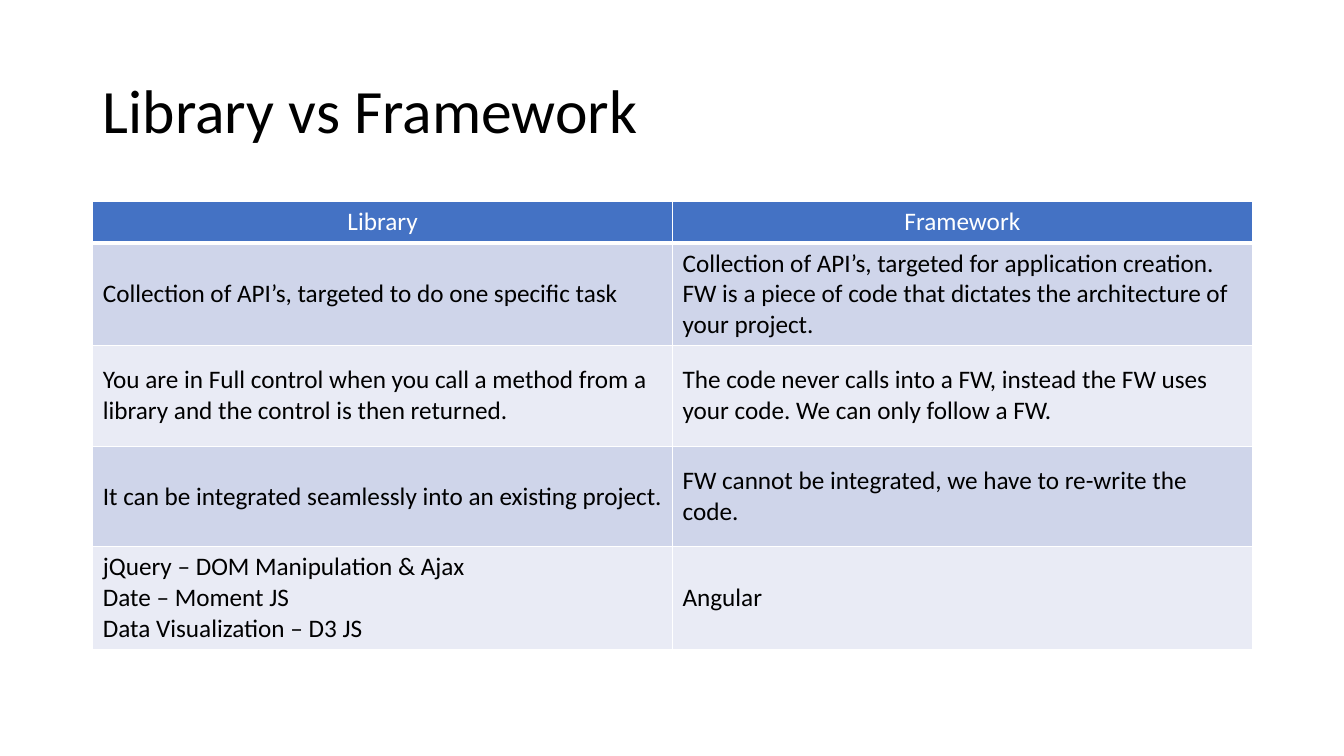
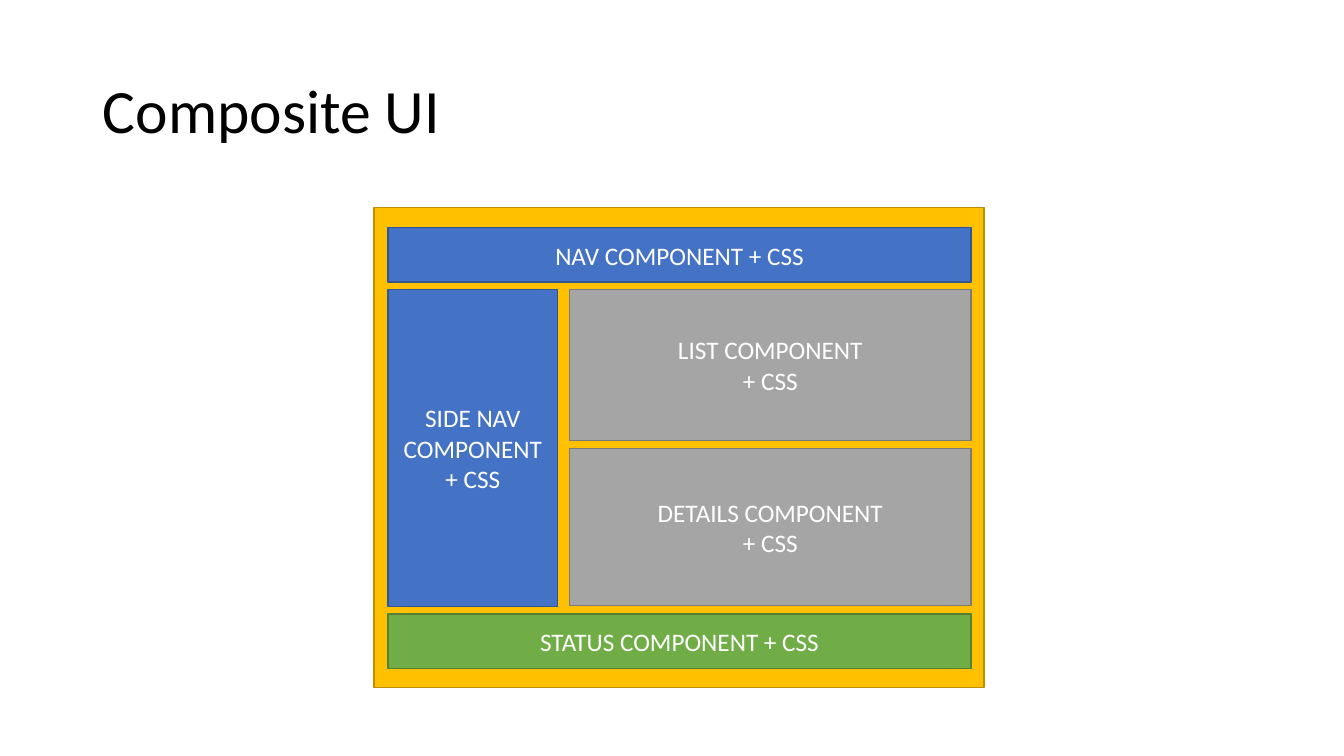
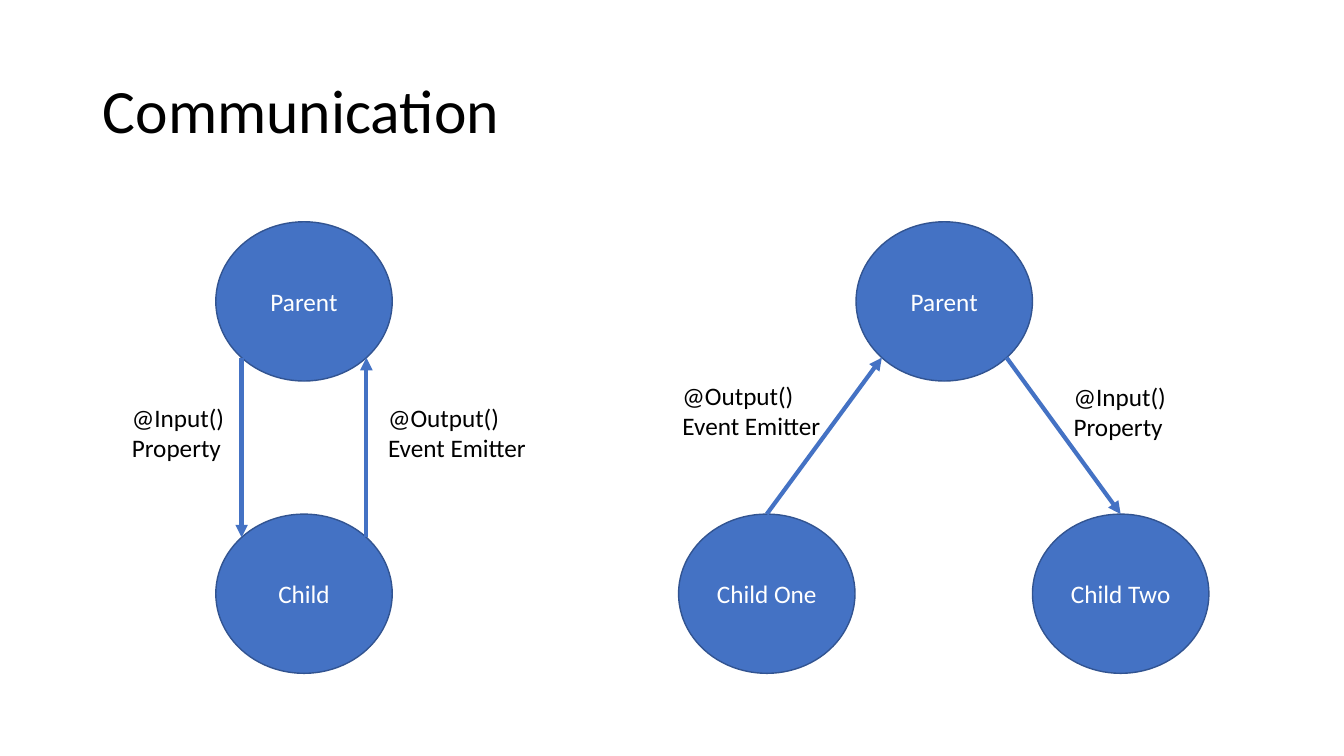
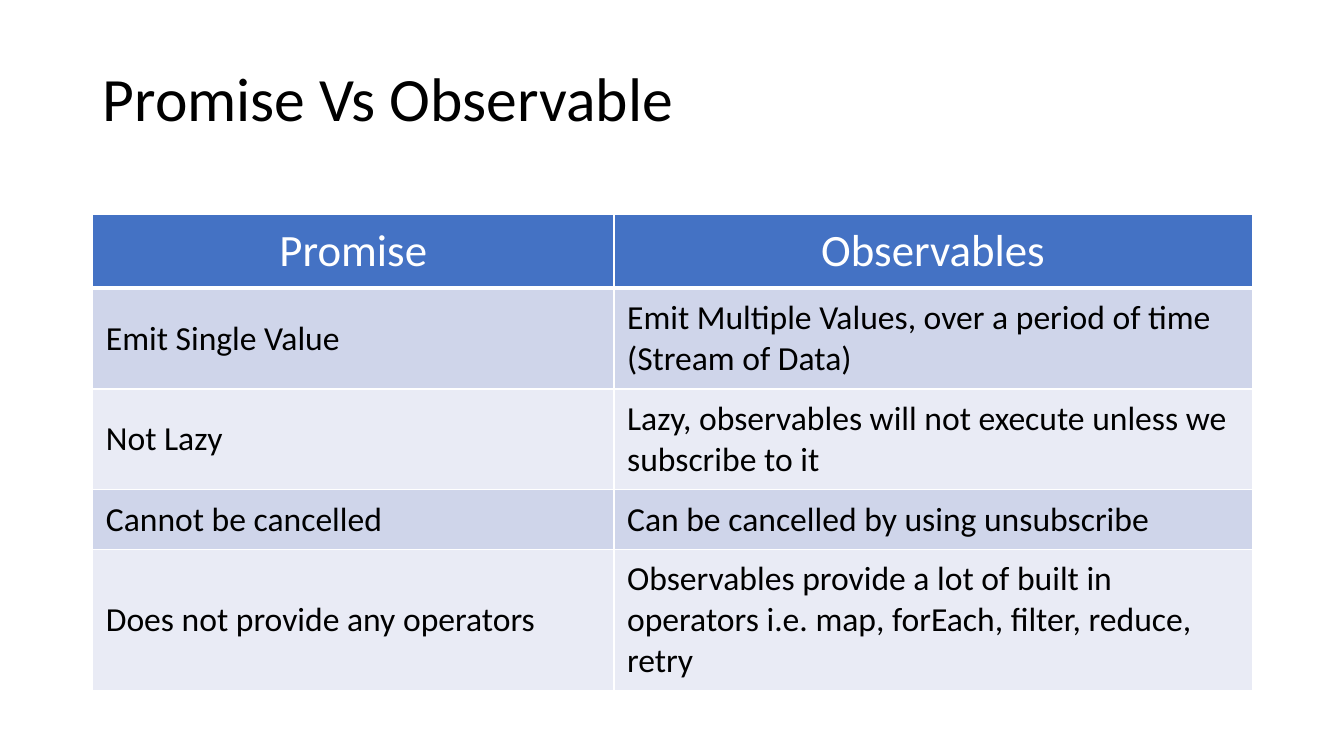
from dataclasses import dataclass
from math import sqrt

from lxml.etree import SubElement
from pptx import Presentation
from pptx.dml.color import RGBColor
from pptx.enum.shapes import MSO_CONNECTOR as Connector, MSO_SHAPE as Preset
from pptx.enum.text import MSO_ANCHOR as Anchor, MSO_AUTO_SIZE as AutoSize, PP_ALIGN as Align
from pptx.oxml.ns import qn
from pptx.shapes.autoshape import Shape
from pptx.shapes.connector import Connector as Line
from pptx.shapes.shapetree import GroupShapes
from pptx.slide import Slide
from pptx.table import _Cell as Cell
from pptx.text.text import TextFrame
from pptx.util import Inches, Pt

FONT = "Calibri"
BLACK = RGBColor(0x00, 0x00, 0x00)
WHITE = RGBColor(0xFF, 0xFF, 0xFF)
BLUE = RGBColor(0x44, 0x72, 0xC4)
DARK_BLUE = RGBColor(0x32, 0x54, 0x91)
GOLD = RGBColor(0xFF, 0xC0, 0x00)
DARK_GOLD = RGBColor(0xBD, 0x8E, 0x00)
GRAY = RGBColor(0xA5, 0xA5, 0xA5)
DARK_GRAY = RGBColor(0x7A, 0x7A, 0x7A)
GREEN = RGBColor(0x70, 0xAD, 0x47)
DARK_GREEN = RGBColor(0x53, 0x80, 0x35)
BANDS = (RGBColor(0xCF, 0xD5, 0xEA), RGBColor(0xE9, 0xEB, 0xF5))

TITLE_ONLY = 5
MARGIN = 0.92
CONTENT_WIDTH = 11.5
CIRCLE_WIDTH, CIRCLE_HEIGHT = 1.75, 1.58
PARENT_TOP, CHILD_TOP = 2.2, 5.1
INPUT_TEXT = "@Input()\nProperty"
OUTPUT_TEXT = "@Output()\nEvent Emitter"


@dataclass(frozen=True)
class Block:
    text: str
    left: float
    top: float
    width: float
    height: float
    fill: RGBColor = BLUE
    line: RGBColor = DARK_BLUE
    preset: Preset = Preset.RECTANGLE


@dataclass(frozen=True)
class TableStyle:
    top: float
    columns: tuple[float, ...]
    rows: tuple[float, ...]
    header_size: int = 18
    body_size: int = 18
    header_anchor: Anchor = Anchor.TOP
    inset_x: float = 0.1
    inset_y: float = 0.05


# Shared parts

def write(frame: TextFrame, text: str, *, size: int = 18, color: RGBColor = BLACK,
          align: Align = Align.LEFT, spacing: float = 1.0) -> None:
    """Write each line of the text as one paragraph."""
    for index, words in enumerate(text.split("\n")):
        para = frame.paragraphs[0] if index == 0 else frame.add_paragraph()
        para.alignment = align
        para.line_spacing = spacing
        span = para.add_run()
        span.text = words
        span.font.name = FONT
        span.font.size = Pt(size)
        span.font.bold = False
        span.font.color.rgb = color


def add_page(deck: Presentation, title: str, *, top: float = 0.4, height: float = 1.45,
             anchor: Anchor = Anchor.MIDDLE) -> Slide:
    page = deck.slides.add_slide(deck.slide_layouts[TITLE_ONLY])
    box = page.shapes.title
    box.left, box.top = Inches(MARGIN), Inches(top)
    box.width, box.height = Inches(CONTENT_WIDTH), Inches(height)
    box.text_frame.auto_size = AutoSize.NONE
    box.text_frame.vertical_anchor = anchor
    write(box.text_frame, title, size=44, spacing=0.9)
    return page


def add_block(shapes: GroupShapes, block: Block) -> Shape:
    box = shapes.add_shape(block.preset, Inches(block.left), Inches(block.top),
                           Inches(block.width), Inches(block.height))
    box.shadow.inherit = False
    box.fill.solid()
    box.fill.fore_color.rgb = block.fill
    box.line.color.rgb = block.line
    box.line.width = Pt(1)
    if block.text:
        box.text_frame.word_wrap = True
        box.text_frame.vertical_anchor = Anchor.MIDDLE
        write(box.text_frame, block.text, color=WHITE, align=Align.CENTER)
    return box


# Tables

def set_borders(cell: Cell, bottom: float) -> None:
    properties = cell._tc.get_or_add_tcPr()
    for side, points in (("L", 1), ("R", 1), ("T", 1), ("B", bottom)):
        border = SubElement(properties, qn(f"a:ln{side}"), w=str(Pt(points)))
        fill = SubElement(border, qn("a:solidFill"))
        SubElement(fill, qn("a:srgbClr"), val=str(WHITE))


def add_comparison(page: Slide, style: TableStyle, content: list[tuple[str, str]]) -> None:
    table = page.shapes.add_table(
        len(style.rows), len(style.columns), Inches(MARGIN), Inches(style.top),
        Inches(sum(style.columns)), Inches(sum(style.rows))).table
    for column, width in zip(table.columns, style.columns):
        column.width = Inches(width)
    for row_index, (row, height, texts) in enumerate(zip(table.rows, style.rows, content)):
        row.height = Inches(height)
        header = row_index == 0
        for cell, text in zip(row.cells, texts):
            cell.margin_left = cell.margin_right = Inches(style.inset_x)
            cell.margin_top = cell.margin_bottom = Inches(style.inset_y)
            cell.vertical_anchor = style.header_anchor if header else Anchor.MIDDLE
            set_borders(cell, bottom=3 if header else 1)
            cell.fill.solid()
            cell.fill.fore_color.rgb = BLUE if header else BANDS[(row_index - 1) % 2]
            write(cell.text_frame, text,
                  size=style.header_size if header else style.body_size,
                  color=WHITE if header else BLACK,
                  align=Align.CENTER if header else Align.LEFT)


# Communication diagram

def add_circle(shapes: GroupShapes, text: str, left: float, top: float) -> Shape:
    return add_block(shapes, Block(text, left, top, CIRCLE_WIDTH, CIRCLE_HEIGHT,
                                   preset=Preset.OVAL))


def rim_point(circle: Shape, side_x: int, side_y: int) -> tuple[int, int]:
    """Return the diagonal rim point; sides are -1 (left, top) or 1 (right, bottom)."""
    return (round(circle.left + circle.width / 2 * (1 + side_x / sqrt(2))),
            round(circle.top + circle.height / 2 * (1 + side_y / sqrt(2))))


def top_point(circle: Shape) -> tuple[int, int]:
    return circle.left + circle.width // 2, circle.top


def add_arrow(shapes: GroupShapes, start: tuple[int, int], end: tuple[int, int]) -> Line:
    arrow = shapes.add_connector(Connector.STRAIGHT, *start, *end)
    arrow.line.color.rgb = BLUE
    arrow.line.width = Pt(3)
    SubElement(arrow.line._get_or_add_ln(), qn("a:tailEnd"), type="triangle")
    SubElement(arrow._element.spPr, qn("a:effectLst"))
    return arrow


def add_label(shapes: GroupShapes, text: str, left: float, top: float, width: float) -> None:
    box = shapes.add_textbox(Inches(left), Inches(top), Inches(width), Inches(0.71))
    box.text_frame.word_wrap = False
    box.text_frame.auto_size = AutoSize.SHAPE_TO_FIT_TEXT
    write(box.text_frame, text)


# Slides

def build_library_page(deck: Presentation) -> None:
    page = add_page(deck, "Library vs Framework")
    style = TableStyle(top=2, columns=(5.75, 5.75), rows=(0.41, 1, 1, 1, 1))
    add_comparison(page, style, [
        ("Library", "Framework"),
        ("Collection of API’s, targeted to do one specific task",
         "Collection of API’s, targeted for application creation. FW is a piece of code "
         "that dictates the architecture of your project."),
        ("You are in Full control when you call a method from a library and the control "
         "is then returned.",
         "The code never calls into a FW, instead the FW uses your code. We can only "
         "follow a FW."),
        ("It can be integrated seamlessly into an existing project.",
         "FW cannot be integrated, we have to re-write the code."),
        ("jQuery – DOM Manipulation & Ajax\nDate – Moment JS\nData Visualization – D3 JS",
         "Angular"),
    ])


def build_composite_page(deck: Presentation) -> None:
    page = add_page(deck, "Composite UI")
    left, width, bar_height = 3.85, 5.78, 0.54
    main_left, main_width, main_top = 5.65, 3.98, 2.87
    for block in (
        Block("", 3.71, 2.06, 6.05, 4.76, GOLD, DARK_GOLD),
        Block("NAV COMPONENT + CSS", left, 2.26, width, bar_height),
        Block("SIDE NAV COMPONENT\n+ CSS", left, main_top, 1.68, 3.15),
        Block("LIST COMPONENT\n+ CSS", main_left, main_top, main_width, 1.5, GRAY, DARK_GRAY),
        Block("DETAILS COMPONENT\n+ CSS", main_left, 4.45, main_width, 1.56, GRAY, DARK_GRAY),
        Block("STATUS COMPONENT + CSS", left, 6.09, width, bar_height, GREEN, DARK_GREEN),
    ):
        add_block(page.shapes, block)


def build_communication_page(deck: Presentation) -> None:
    page = add_page(deck, "Communication")

    # One parent with one child
    pair = page.shapes.add_group_shape().shapes
    parent = add_circle(pair, "Parent", 2.14, PARENT_TOP)
    child = add_circle(pair, "Child", 2.14, CHILD_TOP)
    add_arrow(pair, rim_point(parent, -1, 1), rim_point(child, -1, -1))
    add_arrow(pair, rim_point(child, 1, -1), rim_point(parent, 1, 1))
    add_label(pair, INPUT_TEXT, 1.21, 3.94, 1.13)
    add_label(pair, OUTPUT_TEXT, 3.75, 3.94, 1.59)

    # One parent with two children
    family = page.shapes.add_group_shape().shapes
    parent = add_circle(family, "Parent", 8.49, PARENT_TOP)
    first = add_circle(family, "Child One", 6.73, CHILD_TOP)
    second = add_circle(family, "Child Two", 10.24, CHILD_TOP)
    emit = add_arrow(family, top_point(first), rim_point(parent, -1, 1))
    emit.begin_connect(first, 0)
    pass_down = add_arrow(family, rim_point(parent, 1, 1), top_point(second))
    pass_down.end_connect(second, 0)
    add_label(family, OUTPUT_TEXT, 6.67, 3.72, 1.59)
    add_label(family, INPUT_TEXT, 10.55, 3.73, 1.13)


def build_promise_page(deck: Presentation) -> None:
    page = add_page(deck, "Promise Vs Observable", top=0.28, height=1.11,
                    anchor=Anchor.BOTTOM)
    style = TableStyle(top=2.13, columns=(5.17, 6.33), rows=(0.73, 1, 1, 0.59, 1.4),
                       header_size=32, body_size=24, header_anchor=Anchor.MIDDLE,
                       inset_x=0.13, inset_y=0.07)
    add_comparison(page, style, [
        ("Promise", "Observables"),
        ("Emit Single Value", "Emit Multiple Values, over a period of time (Stream of Data)"),
        ("Not Lazy", "Lazy, observables will not execute unless we subscribe to it"),
        ("Cannot be cancelled", "Can be cancelled by using unsubscribe"),
        ("Does not provide any operators",
         "Observables provide a lot of built in operators i.e. map, forEach, filter, "
         "reduce, retry"),
    ])


def main() -> None:
    deck = Presentation()
    deck.slide_width, deck.slide_height = Inches(13.33), Inches(7.5)
    build_library_page(deck)
    build_composite_page(deck)
    build_communication_page(deck)
    build_promise_page(deck)
    deck.save("out.pptx")


if __name__ == "__main__":
    main()
